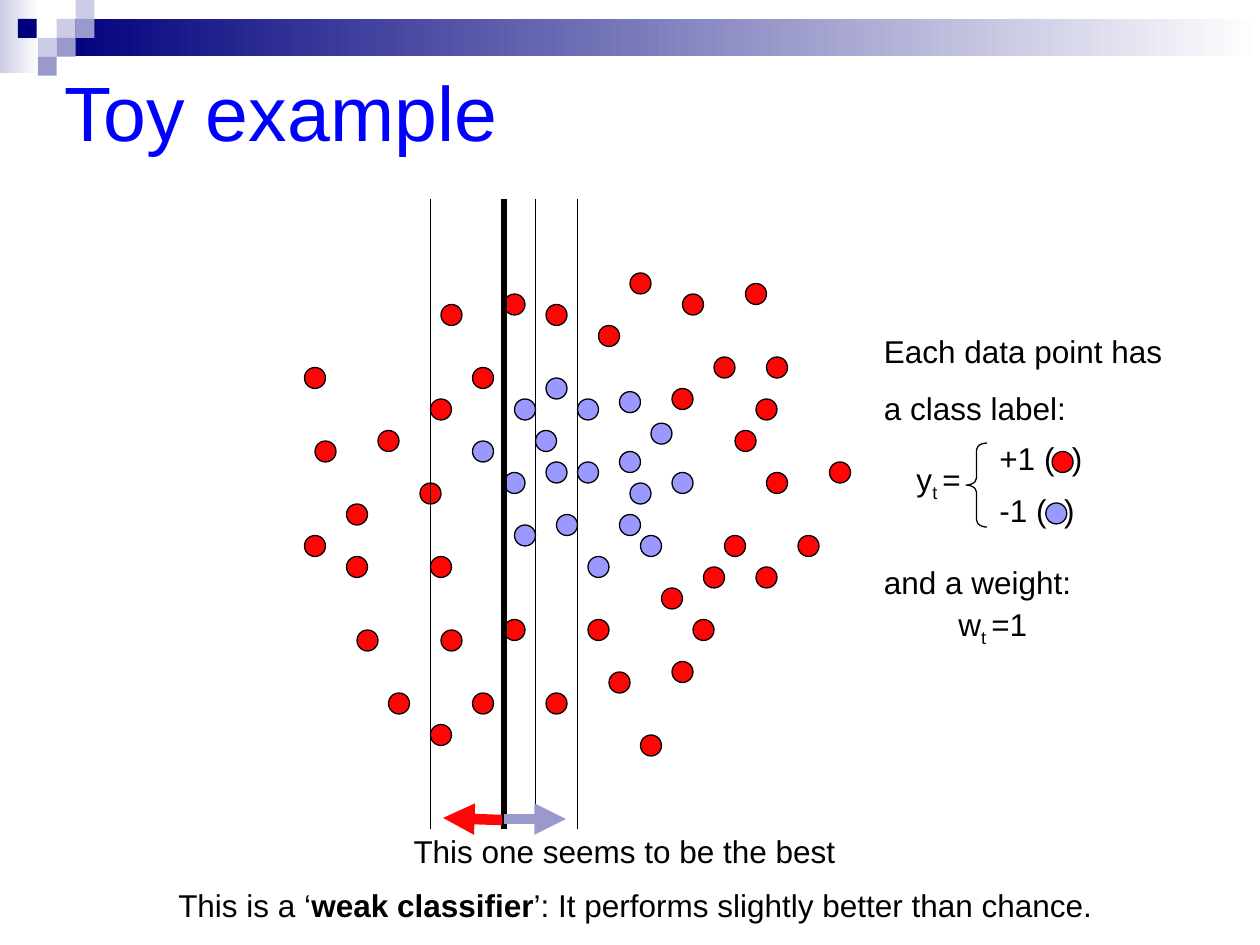
from dataclasses import dataclass

from lxml import etree
from pptx import Presentation
from pptx.dml.color import RGBColor
from pptx.enum.shapes import MSO_CONNECTOR, MSO_SHAPE
from pptx.enum.text import MSO_ANCHOR
from pptx.oxml.ns import qn
from pptx.util import Emu, Pt

PX = 7620
RECTANGLE = MSO_SHAPE.RECTANGLE
OVAL = MSO_SHAPE.OVAL
LEFT_BRACE = MSO_SHAPE.LEFT_BRACE
STRAIGHT = MSO_CONNECTOR.STRAIGHT
MIDDLE = MSO_ANCHOR.MIDDLE


@dataclass(frozen=True)
class Theme:
    """Colours, font and sizes of the slide."""
    font: str = "Arial"
    title_size: int = 44
    body_size: int = 18
    paragraph_gap: float = 11.2
    thin: float = 0.75
    thick: int = 3
    arrow: int = 6
    dot: int = 20
    title: str = "0000FF"
    ink: str = "000000"
    paper: str = "FFFFFF"
    positive: str = "FE0606"
    negative: str = "9999FF"
    navy: str = "00007D"
    lavender: str = "9999CC"
    pale: str = "CCCCE6"


THEME = Theme()

NEGATIVE_POINTS = [
    (260, 190), (300, 183), (330, 213), (230, 250), (300, 300), (350, 260),
    (200, 310), (260, 250), (300, 240), (310, 270), (240, 300), (190, 260),
    (200, 190), (270, 340), (220, 220), (320, 320), (160, 230), (230, 170),
]
POSITIVE_POINTS = [
    (440, 260), (430, 190), (400, 320), (430, 350), (500, 250), (470, 320),
    (10, 230), (0, 160), (0, 320), (70, 220), (40, 290), (130, 410),
    (120, 340), (120, 500), (190, 400), (160, 470), (290, 450), (270, 400),
    (230, 470), (350, 440), (320, 510), (130, 100), (230, 100), (120, 190),
    (190, 90), (160, 160), (360, 90), (280, 120), (350, 180), (420, 80),
    (390, 150), (50, 410), (40, 340), (110, 270), (80, 470), (310, 70),
    (440, 150), (410, 220), (340, 370), (370, 400), (380, 350),
]


def px(*lengths):
    """Turn lengths in px into EMU."""
    return [Emu(length * PX) for length in lengths]


def rgb(value):
    """Turn a hex string into a colour."""
    return RGBColor.from_string(value)


def add_block(shapes, kind, box, fill=None, line=None, fade=False):
    """Add a preset shape, plain or fading to the paper colour."""
    shape = shapes.add_shape(kind, *px(*box))
    shape.shadow.inherit = False
    if fade:
        shape.fill.gradient()
        shape.fill.gradient_angle = 0
        for stop, color in zip(shape.fill.gradient_stops, (fill, THEME.paper)):
            stop.color.rgb = rgb(color)
    elif fill:
        shape.fill.solid()
        shape.fill.fore_color.rgb = rgb(fill)
    else:
        shape.fill.background()
    if line:
        shape.line.color.rgb = rgb(line)
        shape.line.width = Pt(THEME.thin)
    else:
        shape.line.fill.background()
    return shape


def add_dot(shapes, left, top, color):
    """Add one outlined data point."""
    add_block(shapes, OVAL, (left, top, THEME.dot, THEME.dot), color, THEME.ink)


def add_line(shapes, start, end, color, width, arrow=False):
    """Add a straight line, with an arrowhead at its end if asked."""
    connector = shapes.add_connector(STRAIGHT, *px(*start, *end))
    connector.line.color.rgb = rgb(color)
    connector.line.width = Pt(width)
    properties = connector._element.spPr
    etree.SubElement(properties, qn("a:effectLst"))
    if arrow:
        outline = properties.find(qn("a:ln"))
        etree.SubElement(outline, qn("a:tailEnd"), type="triangle")


def add_text(shapes, box, paragraphs, size=THEME.body_size, color=THEME.ink):
    """Add a text box; each paragraph is a list of (text, run attributes)."""
    shape = shapes.add_textbox(*px(*box))
    text_frame = shape.text_frame
    text_frame.word_wrap = True
    for index, runs in enumerate(paragraphs):
        paragraph = text_frame.add_paragraph() if index else text_frame.paragraphs[0]
        if index:
            paragraph.space_before = Pt(THEME.paragraph_gap)
        for text, attributes in runs:
            run = paragraph.add_run()
            run.text = text
            run.font.name = THEME.font
            run.font.size = Pt(size)
            run.font.color.rgb = rgb(color)
            for name, value in attributes.items():
                run._r.get_or_add_rPr().set(name, value)
    return shape


def draw_header(slide, left, top, width):
    """Draw the fading band and its checkered corner."""
    shapes = slide.shapes.add_group_shape().shapes
    cell = 18
    add_block(shapes, RECTANGLE, (left, top, 37, 70), THEME.pale, fade=True)
    band = (left + 3 * cell, top + cell, width - 3 * cell, 35)
    add_block(shapes, RECTANGLE, band, THEME.navy, fade=True)
    squares = [
        (54, 18, THEME.pale), (72, 0, THEME.pale), (72, 18, THEME.lavender),
        (36, 36, THEME.pale), (17, 18, THEME.navy), (54, 36, THEME.lavender),
        (36, 54, THEME.lavender),
    ]
    for x, y, color in squares:
        add_block(shapes, RECTANGLE, (left + x, top + y, cell, cell), color)


def draw_title(slide, box):
    """Write the slide title."""
    title = add_text(slide.shapes, box, [[("Toy example", {})]], THEME.title_size, THEME.title)
    title.text_frame.vertical_anchor = MIDDLE


def draw_plot(slide, left, top, height):
    """Draw the data points, candidate boundaries and class arrows."""
    shapes = slide.shapes
    for points, color in ((NEGATIVE_POINTS, THEME.negative), (POSITIVE_POINTS, THEME.positive)):
        for x, y in points:
            add_dot(shapes, left + x, top + y, color)
    for x, width in ((260, THEME.thin), (220, THEME.thin), (190, THEME.thick), (120, THEME.thin)):
        add_line(shapes, (left + x, top), (left + x, top + height), THEME.ink, width)
    for x1, y1, x2, y2, color in (
        (188, 591, 132, 589, THEME.positive),
        (190, 590, 249, 590, THEME.lavender),
    ):
        add_line(shapes, (left + x1, top + y1), (left + x2, top + y2), color, THEME.arrow, True)


def draw_legend(slide, left, top):
    """Explain the class label and the weight of a data point."""
    shapes = slide.shapes
    subscript = ("t ", {"baseline": "-25000"})
    add_text(shapes, (left, top, 300, 158),
             [[("Each data point has", {})], [("a class label:", {})]])
    add_text(shapes, (left + 71, top + 260, 100, 53), [[("w", {}), subscript, ("=1", {})]])
    add_text(shapes, (left, top + 220, 212, 48), [[("and a weight:", {})]])
    label = shapes.add_group_shape().shapes
    add_text(label, (left + 31, top + 122, 76, 53), [[("y", {}), subscript, ("=", {})]])
    brace = add_block(label, LEFT_BRACE, (left + 90, top + 112, 20, 80), line=THEME.ink)
    brace.adjustments[0] = 0.33
    for value, y, width, dot_x, dot_y, color in (
        ("+1 (", 102, 115, 172, 120, THEME.positive),
        ("-1 (", 152, 107, 166, 169, THEME.negative),
    ):
        add_text(label, (left + 110, top + y, width, 48),
                 [[(value, {}), (" ", {"spc": "500"}), (")", {})]])
        add_dot(label, left + dot_x, top + dot_y, color)


def draw_captions(slide, left, top):
    """Write the two conclusions below the plot."""
    add_text(slide.shapes, (left + 224, top, 436, 48), [[("This one seems to be the best", {})]])
    add_text(slide.shapes, (left, top + 51, 906, 48), [[
        ("This is a ‘", {}), ("weak classifier", {"b": "1"}),
        ("’: It performs slightly better than chance.", {}),
    ]])


def main():
    """Build and save the presentation."""
    presentation = Presentation()
    presentation.slide_width, presentation.slide_height = px(1200, 900)
    slide = presentation.slides.add_slide(presentation.slide_layouts[6])
    draw_header(slide, 0, 0, 1200)
    draw_title(slide, (50, 30, 1080, 150))
    draw_plot(slide, 290, 190, 600)
    draw_legend(slide, 830, 310)
    draw_captions(slide, 158, 787)
    presentation.save("out.pptx")


if __name__ == "__main__":
    main()
